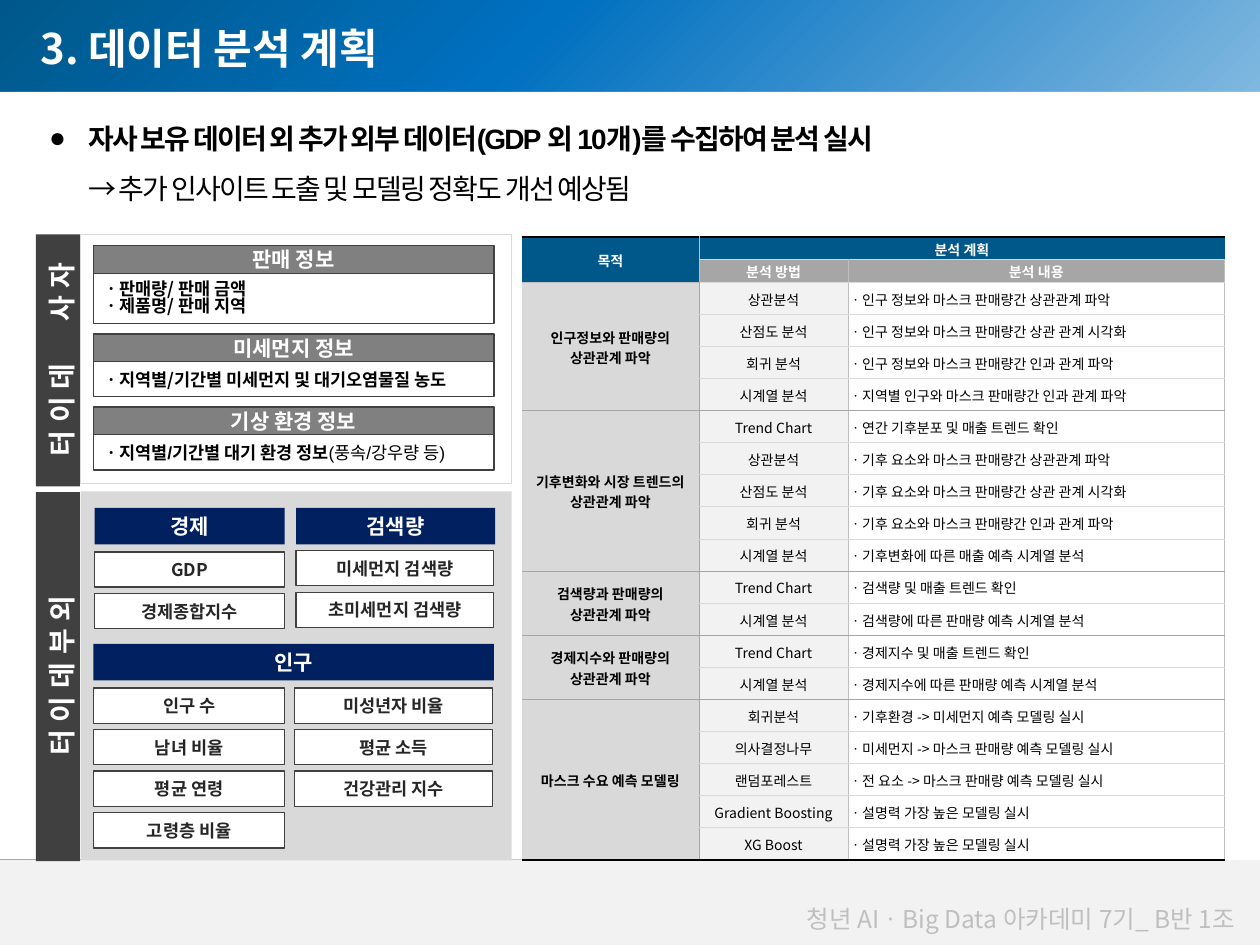
import pptx
import pptx.dml.color
import pptx.enum.shapes
import pptx.enum.text
import pptx.oxml
import pptx.oxml.ns
import pptx.util

Inches = pptx.util.Inches
Pt = pptx.util.Pt
ALIGN = pptx.enum.text.PP_ALIGN
MIDDLE = pptx.enum.text.MSO_ANCHOR.MIDDLE
KOREAN = "Noto Sans CJK KR"
NAVY, DARK, BLUE = "002060", "404040", "00588A"
INSETS = (0.1, 0.05, 0.1, 0.05)
NARROW = (0.04, 0.05, 0.04, 0.05)
NO_STYLE = "{2D5ABB26-0587-4C30-8999-92F81FD0307C}"

# Purpose of each analysis, then its (method, content) rows
PLAN = [
    ("인구정보와 판매량의\v상관관계 파악", [
        ("상관분석", "인구 정보와 마스크 판매량간 상관관계 파악"),
        ("산점도 분석", "인구 정보와 마스크 판매량간 상관 관계 시각화"),
        ("회귀 분석", "인구 정보와 마스크 판매량간 인과 관계 파악"),
        ("시계열 분석", "지역별 인구와 마스크 판매량간 인과 관계 파악")]),
    ("기후변화와 시장 트렌드의\v상관관계 파악", [
        ("Trend Chart", "연간 기후분포 및 매출 트렌드 확인"),
        ("상관분석", "기후 요소와 마스크 판매량간 상관관계 파악"),
        ("산점도 분석", "기후 요소와 마스크 판매량간 상관 관계 시각화"),
        ("회귀 분석", "기후 요소와 마스크 판매량간 인과 관계 파악"),
        ("시계열 분석", "기후변화에 따른 매출 예측 시계열 분석")]),
    ("검색량과 판매량의\v상관관계 파악", [
        ("Trend Chart", "검색량 및 매출 트렌드 확인"),
        ("시계열 분석", "검색량에 따른 판매량 예측 시계열 분석")]),
    ("경제지수와 판매량의\v상관관계 파악", [
        ("Trend Chart", "경제지수 및 매출 트렌드 확인"),
        ("시계열 분석", "경제지수에 따른 판매량 예측 시계열 분석")]),
    ("마스크 수요 예측 모델링", [
        ("회귀분석", "기후환경 -> 미세먼지 예측 모델링 실시"),
        ("의사결정나무", "미세먼지 -> 마스크 판매량 예측 모델링 실시"),
        ("랜덤포레스트", "전 요소 -> 마스크 판매량 예측 모델링 실시"),
        ("Gradient Boosting", "설명력 가장 높은 모델링 실시"),
        ("XG Boost", "설명력 가장 높은 모델링 실시")]),
]


def rgb(value):
    return pptx.dml.color.RGBColor.from_string(value)


def xml(tag, attributes="", inner=""):
    return pptx.oxml.parse_xml(
        f'<a:{tag} {pptx.oxml.ns.nsdecls("a")} {attributes}>{inner}</a:{tag}>')


def format_span(span, size, color, bold=False, font=KOREAN):
    span.font.size, span.font.bold, span.font.name = Pt(size), bold, font
    span.font.color.rgb = rgb(color)
    span._r.get_or_add_rPr().append(xml("ea", f'typeface="{KOREAN}"'))


def write(frame, text, size, color, bold=True, align=ALIGN.CENTER, insets=INSETS, font=KOREAN):
    frame.text = text
    frame.word_wrap = True
    frame.vertical_anchor = MIDDLE
    frame.margin_left, frame.margin_top, frame.margin_right, frame.margin_bottom = map(Inches, insets)
    for para in frame.paragraphs:
        para.alignment = align
        for span in para.runs:
            format_span(span, size, color, bold, font)


def add_box(slide, place, fill=None, line=None):
    box = slide.shapes.add_shape(pptx.enum.shapes.MSO_SHAPE.RECTANGLE, *map(Inches, place))
    box.shadow.inherit = False
    if fill:
        box.fill.solid()
        box.fill.fore_color.rgb = rgb(fill)
    else:
        box.fill.background()
    if line:
        box.line.color.rgb = rgb(line)
        box.line.width = Pt(0.75)
    else:
        box.line.fill.background()
    return box


def add_backdrop(slide):
    add_box(slide, (0, 6.82, 10, 0.68), "F2F2F2")
    band = add_box(slide, (0, 0, 10, 6.82))
    stops = "".join(f'<a:gs pos="{pos}000"><a:srgbClr val="{color}"/></a:gs>'
                    for pos, color in ((0, BLUE), (27, "0070C0"), (100, "FFFFFF")))
    no_fill = band._element.spPr.find(pptx.oxml.ns.qn("a:noFill"))
    no_fill.getparent().replace(no_fill, xml(
        "gradFill", 'rotWithShape="1"', f'<a:gsLst>{stops}</a:gsLst><a:lin ang="2700000" scaled="0"/>'))
    add_box(slide, (0, 0.73, 10, 6.33 - 0.24), "FFFFFF")
    footer = slide.shapes.add_textbox(Inches(5.18), Inches(7.12), Inches(4.72), Inches(0.34))
    write(footer.text_frame, "청년 AIㆍBig Data 아카데미 7기_ B반 1조", 14, "BFBFBF",
          False, ALIGN.RIGHT)


def place_holder(slide, holder, place):
    holder.left, holder.top, holder.width, holder.height = map(Inches, place)
    slide.shapes.element.append(holder.element)  # in front of the backdrop


def fill_headings(slide):
    title, body = slide.placeholders
    place_holder(slide, title, (0.22, 0.13, 4.18, 0.5))
    write(title.text_frame, "3. 데이터 분석 계획", 24, "FFFFFF", align=ALIGN.LEFT)
    place_holder(slide, body, (0.29, 0.78, 9.44, 0.77))
    write(body.text_frame, "자사 보유 데이터 외 추가 외부 데이터(GDP 외 10개)를 수집하여 분석 실시\v"
          "→ 추가 인사이트 도출 및 모델링 정확도 개선 예상됨", 16, "000000",
          align=ALIGN.LEFT, font="Arial")
    body.text_frame.vertical_anchor = pptx.enum.text.MSO_ANCHOR.TOP
    para = body.text_frame.paragraphs[0]
    para.line_spacing, para.space_before = 1.5, Pt(0)
    properties = para._p.get_or_add_pPr()
    properties.set("marL", str(Inches(0.31)))
    properties.set("indent", str(-Inches(0.31)))
    properties.append(xml("buFont", 'typeface="Arial"'))
    properties.append(xml("buChar", 'char="●"'))
    for span in para.runs:
        span._r.get_or_add_rPr().set("spc", "-100")
    for line_break in para._p.findall(pptx.oxml.ns.qn("a:br")):
        line_break.append(xml("rPr", 'sz="1600"'))
    para.runs[1].font.bold = False


def add_side_label(slide, text, middle, length):
    """Upright strip at the left edge, centred on the height `middle`."""
    label = add_box(slide, (0.46 - length / 2, middle - 0.175, length, 0.35), DARK)
    label.rotation = 270
    write(label.text_frame, text, 16, "FFFFFF", font="Arial")
    label.text_frame._txBody.bodyPr.set("vert", "eaVert")


def add_info(slide, top, heading, text, height, font=KOREAN):
    head = add_box(slide, (0.74, top, 3.18, 0.22), "808080", DARK)
    write(head.text_frame, heading, 12, "FFFFFF", insets=NARROW)
    detail = add_box(slide, (0.74, top + 0.22, 3.18, height), None, DARK)
    write(detail.text_frame, text, 10, "000000", align=ALIGN.LEFT,
          insets=(0.08, 0.05, 0.04, 0.05), font=font)
    return detail.text_frame


def add_head(slide, left, top, width, text):
    write(add_box(slide, (left, top, width, 0.29), NAVY).text_frame, text, 12, "FFFFFF")


def add_items(slide, left, top, width, items):
    for index, item in enumerate(items):
        box = add_box(slide, (left, top + 0.33 * index, width, 0.28), "FFFFFF", DARK)
        write(box.text_frame, item, 10, "262626", insets=NARROW)


def format_cell(cell, text, fill, borders, color="000000", bold=False, align=ALIGN.CENTER):
    write(cell.text_frame, text, 8, color, bold, align)
    cell.vertical_anchor = MIDDLE
    cell.margin_left = cell.margin_right = cell.margin_top = Inches(0.01)
    cell.margin_bottom = 0
    if fill:
        cell.fill.solid()
        cell.fill.fore_color.rgb = rgb(fill)
    else:
        cell.fill.background()
    sides = [side for side in "LRTB" if side in borders]
    for index, side in enumerate(sides):
        width = Pt(1) if borders[side] == "000000" else Pt(0.5)
        cell._tc.get_or_add_tcPr().insert(index, xml(
            f"ln{side}", f'w="{width}"',
            f'<a:solidFill><a:srgbClr val="{borders[side]}"/></a:solidFill>'))


def add_plan_table(slide):
    count = sum(len(rows) for _, rows in PLAN)
    table = slide.shapes.add_table(count + 2, 3, Inches(4.14), Inches(1.88),
                                   Inches(5.58), Inches(4.95)).table
    table.first_row = table.horz_banding = False
    table._tbl.tblPr.find(pptx.oxml.ns.qn("a:tableStyleId")).text = NO_STYLE
    for column, width in zip(table.columns, (1.41, 1.18, 2.99)):
        column.width = Inches(width)
    for index, row in enumerate(table.rows):
        row.height = Inches(0.18) if index < 2 else Inches((4.95 - 0.36) / count)

    # Header rows
    black, gray, mid, pale = "000000", "BFBFBF", "A6A6A6", "D9D9D9"
    table.cell(0, 0).merge(table.cell(1, 0))
    table.cell(0, 1).merge(table.cell(0, 2))
    format_cell(table.cell(0, 0), "목적", BLUE, dict(R=gray, T=black, B=gray), "FFFFFF", True)
    for column in (1, 2):
        format_cell(table.cell(0, column), "분석 계획" if column == 1 else "", BLUE,
                    dict(L=gray, T=black, B=pale) if column == 1 else dict(T=black, B=pale),
                    "FFFFFF", True)
        format_cell(table.cell(1, column), ("분석 방법", "분석 내용")[column - 1], mid,
                    dict(L=gray, R=gray, T=pale, B=pale), "FFFFFF", True)

    # One merged purpose cell for each group of rows
    start = 2
    for purpose, rows in PLAN:
        end = start + len(rows) - 1
        closing = black if end == count + 1 else mid
        opening = pale if start == 2 else mid
        table.cell(start, 0).merge(table.cell(end, 0))
        for row, (method, content) in enumerate(rows, start):
            edges = dict(T=opening if row == start else pale, B=closing if row == end else pale)
            format_cell(table.cell(row, 0), purpose if row == start else "", pale,
                        dict(R=mid, T=gray if start == 2 else mid, B=closing), bold=True)
            format_cell(table.cell(row, 1), method, "F2F2F2", dict(L=mid, R=gray, **edges))
            format_cell(table.cell(row, 2), "ㆍ" + content, None,
                        dict(L=gray, R=gray, **edges), align=ALIGN.LEFT)
        start = end + 1


def main():
    deck = pptx.Presentation()
    deck.slide_width, deck.slide_height = Inches(10), Inches(7.5)
    slide = deck.slides.add_slide(deck.slide_layouts[1])
    add_backdrop(slide)
    fill_headings(slide)

    # Company data
    add_box(slide, (0.64, 1.86, 3.42, 1.98), "FFFFFF", "D9D9D9")
    add_side_label(slide, "자사 데이터", 2.86, 2)
    sales = add_info(slide, 1.95, "판매 정보", "ㆍ판매량/ 판매 금액\nㆍ제품명/ 판매 지역", 0.4)
    for para in sales.paragraphs:
        para.line_spacing = 0.8
    add_info(slide, 2.65, "미세먼지 정보", "ㆍ지역별/기간별 미세먼지 및 대기오염물질 농도", 0.28)
    weather = add_info(slide, 3.23, "기상 환경 정보", "ㆍ지역별/기간별 대기 환경 정보", 0.28, "Arial")
    span = weather.paragraphs[0].add_run()
    span.text = "(풍속/강우량 등)"
    format_span(span, 10, "000000", font="Arial")

    # External data
    add_box(slide, (0.64, 3.9, 3.42, 2.93), "D9D9D9")
    add_side_label(slide, "외부데이터", 5.37, 2.93)
    add_head(slide, 0.75, 4.03, 1.51, "경제")
    add_head(slide, 2.35, 4.03, 1.58, "검색량")
    add_head(slide, 0.74, 5.11, 3.18, "인구")
    add_items(slide, 0.75, 4.38, 1.51, ["GDP", "경제종합지수"])
    add_items(slide, 2.35, 4.37, 1.57, ["미세먼지 검색량", "초미세먼지 검색량"])
    add_items(slide, 0.74, 5.46, 1.52, ["인구 수", "남녀 비율", "평균 연령", "고령층 비율"])
    add_items(slide, 2.34, 5.46, 1.57, ["미성년자 비율", "평균 소득", "건강관리 지수"])

    add_plan_table(slide)
    deck.save("out.pptx")


if __name__ == "__main__":
    main()
